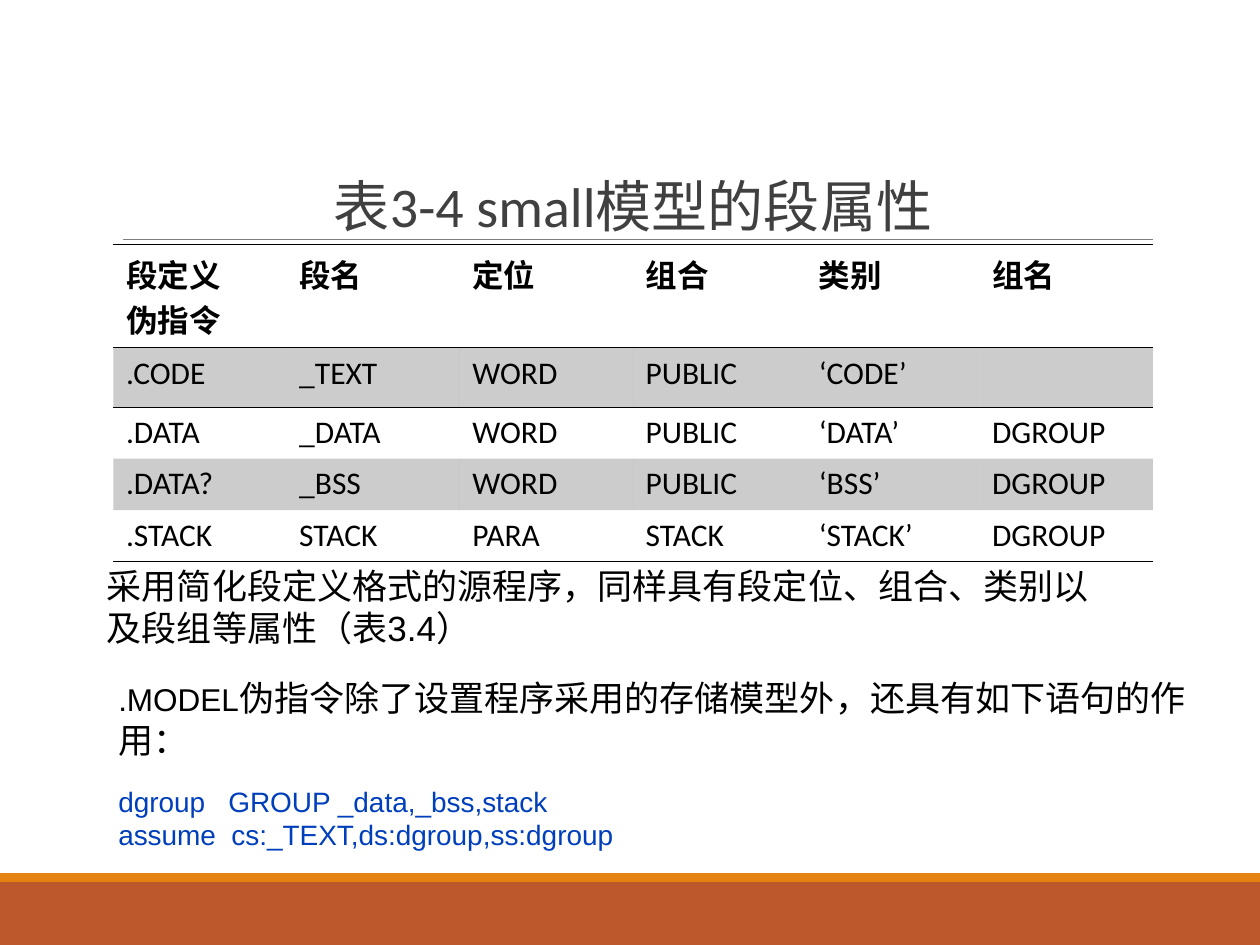
from dataclasses import dataclass

from lxml.etree import SubElement
from pptx import Presentation
from pptx.dml.color import RGBColor
from pptx.enum.shapes import MSO_CONNECTOR, MSO_SHAPE
from pptx.enum.text import MSO_ANCHOR, MSO_AUTO_SIZE, PP_ALIGN
from pptx.oxml.ns import qn
from pptx.util import Inches, Pt

BLACK = "000000"
CODE_BLUE = "003FBC"
NO_STYLE_NO_GRID = "{2D5ABB26-0587-4C30-8999-92F81FD0307C}"

SEGMENTS = [
    ["段定义\n伪指令", "段名", "定位", "组合", "类别", "组名"],
    [".CODE", "_TEXT", "WORD", "PUBLIC", "‘CODE’", ""],
    [".DATA", "_DATA", "WORD", "PUBLIC", "‘DATA’", "DGROUP"],
    [".DATA?", "_BSS", "WORD", "PUBLIC", "‘BSS’", "DGROUP"],
    [".STACK", "STACK", "PARA", "STACK", "‘STACK’", "DGROUP"],
]
ROW_HEIGHTS = [0.82, 0.47, 0.41, 0.41, 0.41]
TABLE_WIDTH = 8.25


@dataclass
class Band:
    top: float
    height: float
    color: str


@dataclass
class Run:
    text: str
    size: float
    color: str = BLACK


@dataclass
class Line:
    runs: list[Run]
    spacing: float | None = None


BANDS = [Band(7, 0.5, "BD582C"), Band(6.93, 0.07, "E48312")]
SUMMARY = [
    Line([Run("采用简化段定义格式的源程序，同样具有段定位、组合、类别以及段组等属性（表3.4）", 20)]),
]
MODEL_EFFECT = [
    Line([Run(".MODEL", 18),
          Run("伪指令除了设置程序采用的存储模型外，还具有如下语句的作用：", 20)]),
    Line([Run("dgroup   GROUP _data,_bss,stack", 16, CODE_BLUE)], spacing=1.7),
    Line([Run("assume  cs:_TEXT,ds:dgroup,ss:dgroup", 16, CODE_BLUE)]),
]


def rgb(value: str) -> RGBColor:
    return RGBColor.from_string(value)


def write(paragraph, text: str, *, size: float, color: str = BLACK,
          font: str = "Calibri", bold: bool = False) -> None:
    """Append one formatted run to the paragraph."""
    run = paragraph.add_run()
    run.text = text
    run.font.size = Pt(size)
    run.font.name = font
    run.font.bold = bold
    run.font.color.rgb = rgb(color)


def add_band(slide, band: Band) -> None:
    bar = slide.shapes.add_shape(MSO_SHAPE.RECTANGLE, 0, Inches(band.top),
                                 Inches(10), Inches(band.height))
    bar.shadow.inherit = False
    bar.fill.solid()
    bar.fill.fore_color.rgb = rgb(band.color)
    bar.line.fill.background()


def add_title_rule(slide) -> None:
    rule = slide.shapes.add_connector(MSO_CONNECTOR.STRAIGHT, Inches(0.98), Inches(1.9),
                                      Inches(9.15), Inches(1.9))
    rule.line.color.rgb = rgb("7F7F7F")
    rule.line.width = Pt(0.5)
    SubElement(rule._element.spPr, qn("a:effectLst"))


def add_title(slide, text: str) -> None:
    title = slide.shapes.add_textbox(Inches(0.9), Inches(1.08), Inches(8.25), Inches(0.82))
    frame = title.text_frame
    frame.word_wrap = True
    frame.vertical_anchor = MSO_ANCHOR.BOTTOM
    frame.margin_left = frame.margin_right = frame.margin_top = frame.margin_bottom = 0
    heading = frame.paragraphs[0]
    heading.alignment = PP_ALIGN.CENTER
    heading.line_spacing = 0.85
    write(heading, text, size=32, color="404040")


def add_note(slide, left: float, top: float, width: float, height: float,
             lines: list[Line]) -> None:
    note = slide.shapes.add_textbox(Inches(left), Inches(top), Inches(width), Inches(height))
    frame = note.text_frame
    frame.word_wrap = True
    frame.auto_size = MSO_AUTO_SIZE.SHAPE_TO_FIT_TEXT
    for index, line in enumerate(lines):
        paragraph = frame.add_paragraph() if index else frame.paragraphs[0]
        if line.spacing:
            paragraph.line_spacing = line.spacing
        for run in line.runs:
            write(paragraph, run.text, size=run.size, color=run.color, font="Arial")


def add_border(cell, side: str) -> None:
    """Draw a thin black border; side is lnT or lnB."""
    border = SubElement(cell._tc.get_or_add_tcPr(), qn(f"a:{side}"), w=str(Pt(0.45)))
    fill = SubElement(border, qn("a:solidFill"))
    SubElement(fill, qn("a:srgbClr"), val=BLACK)


def shade(cell) -> None:
    """Fill the cell with black at 20% opacity."""
    cell.fill.solid()
    cell.fill.fore_color.rgb = rgb(BLACK)
    tint = cell._tc.tcPr.find(f".//{qn('a:solidFill')}[last()]/{qn('a:srgbClr')}")
    tint = cell._tc.tcPr.findall(qn("a:solidFill"))[0][0]
    SubElement(tint, qn("a:alpha"), val="20000")


def add_segment_table(slide) -> None:
    column_count = len(SEGMENTS[0])
    table = slide.shapes.add_table(len(SEGMENTS), column_count, Inches(0.9), Inches(1.94),
                                   Inches(TABLE_WIDTH), Inches(sum(ROW_HEIGHTS))).table
    table.horz_banding = False
    table._tbl.tblPr.find(qn("a:tableStyleId")).text = NO_STYLE_NO_GRID
    for column in table.columns:
        column.width = Inches(TABLE_WIDTH / column_count)
    for row, height in zip(table.rows, ROW_HEIGHTS):
        row.height = Inches(height)

    last = len(SEGMENTS) - 1
    for row_index, values in enumerate(SEGMENTS):
        for column_index, value in enumerate(values):
            cell = table.cell(row_index, column_index)
            if row_index in (0, 1):
                add_border(cell, "lnT")
            if row_index in (0, last):
                add_border(cell, "lnB")
            if row_index % 2:
                shade(cell)
            else:
                cell.fill.background()
            if not value:
                continue
            for line_index, text in enumerate(value.split("\n")):
                frame = cell.text_frame
                paragraph = frame.add_paragraph() if line_index else frame.paragraphs[0]
                write(paragraph, text, size=18, bold=row_index == 0)


def main() -> None:
    deck = Presentation()
    deck.slide_width, deck.slide_height = Inches(10), Inches(7.5)
    slide = deck.slides.add_slide(deck.slide_layouts[6])
    for band in BANDS:
        add_band(slide, band)
    add_title_rule(slide)
    add_title(slide, "表3-4 small模型的段属性")
    add_segment_table(slide)
    add_note(slide, 0.84, 5.32, 8.91, 1.49, MODEL_EFFECT)
    add_note(slide, 0.75, 4.43, 8.09, 0.77, SUMMARY)
    deck.save("out.pptx")


if __name__ == "__main__":
    main()
